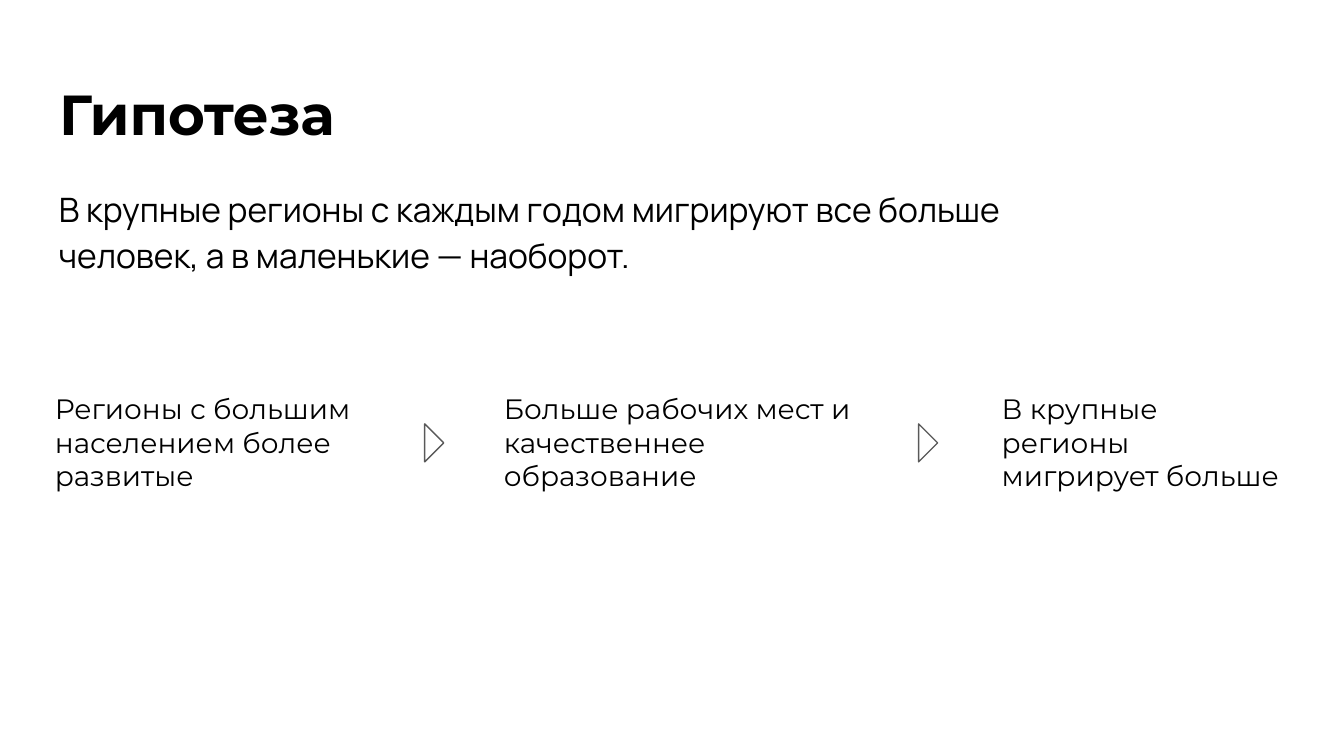
from pptx import Presentation
from pptx.dml.color import RGBColor
from pptx.enum.shapes import MSO_SHAPE as Shape
from pptx.enum.text import MSO_ANCHOR as Anchor, MSO_AUTO_SIZE as AutoSize, PP_ALIGN as Align
from pptx.util import Emu, Pt

PX = 4572  # 200 px to the inch
COLORS = {"paper": "FFFFFF", "ink": "000000", "outline": "595959"}
HEADING_FONT, LEAD_FONT = "Montserrat", "Manrope"

TITLE = "Гипотеза"
LEAD = "В крупные регионы с каждым годом мигрируют все больше человек, а в маленькие — наоборот."
# text, left and width within the row of steps
STEPS = [
    ("Регионы с большим населением более развитые", 0, 524),
    ("Больше рабочих мест и качественнее образование", 668, 598),
    ("В крупные регионы мигрирует больше", 1409, 468),
]
MARKER = 40
MARKER_LEFTS = [550, 1285]


def px(*lengths):
    return [Emu(length * PX) for length in lengths]


def color(name):
    return RGBColor.from_string(COLORS[name])


def write(shape, text, size, font, bold=False):
    """Fill the frame of a shape with one left-aligned paragraph and return it."""
    frame = shape.text_frame
    frame.word_wrap = True
    frame.auto_size = AutoSize.NONE
    frame.vertical_anchor = Anchor.TOP
    inset, = px(20)
    frame.margin_left = frame.margin_right = inset
    frame.margin_top = frame.margin_bottom = inset
    para = frame.paragraphs[0]
    para.alignment = Align.LEFT
    span = para.add_run()
    span.text = text
    span.font.size = Pt(size)
    span.font.name = font
    span.font.bold = bold
    span.font.color.rgb = color("ink")
    return para


def add_title(page, box):
    title = page.shapes.title
    title.left, title.top, title.width, title.height = px(*box)
    write(title, TITLE, 30.2, HEADING_FONT, bold=True)


def add_lead(page, box):
    para = write(page.shapes.add_textbox(*px(*box)), LEAD, 18, LEAD_FONT)
    para.line_spacing = 1.15
    para.space_after = Pt(12)


def add_marker(page, box):
    """A right triangle turned so that it points to the next step."""
    marker = page.shapes.add_shape(Shape.RIGHT_TRIANGLE, *px(*box))
    marker.rotation = 225
    marker.shadow.inherit = False
    marker.fill.solid()
    marker.fill.fore_color.rgb = color("paper")
    marker.line.color.rgb = color("outline")
    marker.line.width = Pt(0.75)


def add_steps(page, box):
    left, top, _, height = box
    for text, offset, width in STEPS:
        step = page.shapes.add_textbox(*px(left + offset, top, width, height))
        write(step, text, 15, HEADING_FONT)
    marker_top = top + (height - MARKER) // 2
    for offset in MARKER_LEFTS:
        add_marker(page, (left + offset, marker_top, MARKER, MARKER))


def main():
    deck = Presentation()
    deck.slide_width, deck.slide_height = px(2000, 1125)
    page = deck.slides.add_slide(deck.slide_layouts.get_by_name("Title Only"))
    page.background.fill.solid()
    page.background.fill.fore_color.rgb = color("paper")
    add_title(page, (68, 98, 1864, 126))
    add_lead(page, (68, 252, 1646, 196))
    add_steps(page, (62, 563, 1877, 192))
    deck.save("out.pptx")


if __name__ == "__main__":
    main()
